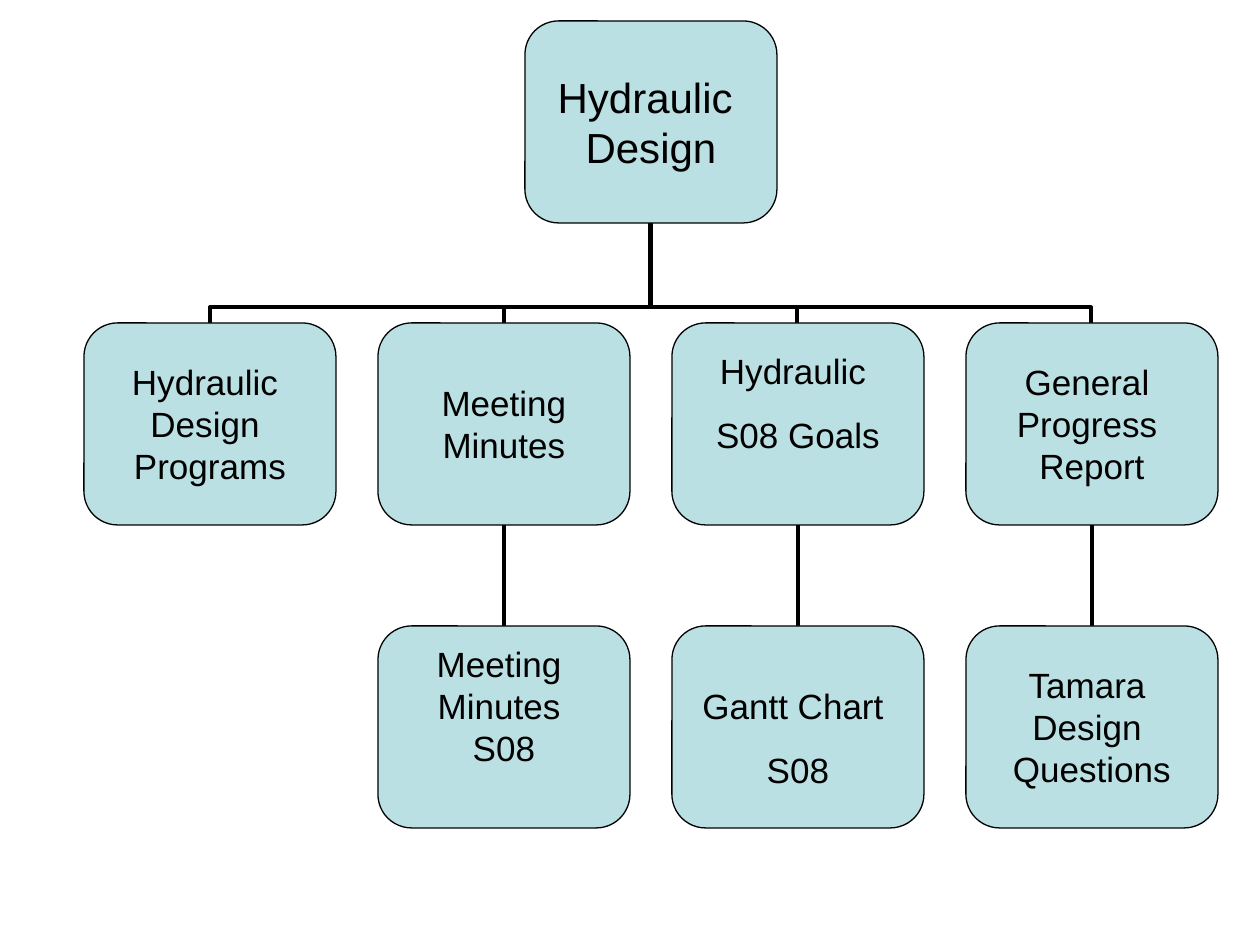
from lxml.etree import SubElement
from pptx import Presentation
from pptx.dml.color import RGBColor
from pptx.enum.shapes import MSO_CONNECTOR, MSO_SHAPE
from pptx.enum.text import MSO_ANCHOR, PP_ALIGN
from pptx.oxml.ns import qn
from pptx.util import Pt

PX = 914400 // 126
BLACK = RGBColor(0x00, 0x00, 0x00)
AQUA = RGBColor(0xBB, 0xE0, 0xE3)
WIDE, HIGH = 252, 202
COLS = [84 + 294 * i for i in range(4)]
ROWS = [21, 323, 626]
ROOT = 525

deck = Presentation()
deck.slide_width = 1260 * PX
deck.slide_height = 945 * PX
slide = deck.slides.add_slide(deck.slide_layouts[6])


def add_line(kind, x1, y1, x2, y2):
    line = slide.shapes.add_connector(kind, x1 * PX, y1 * PX, x2 * PX, y2 * PX)
    line.line.color.rgb = BLACK
    line.line.width = Pt(2.25)
    SubElement(line._element.spPr, qn("a:effectLst"))
    return line


def add_box(left, top, size, text, gap=0, above=0, below=0):
    box = slide.shapes.add_shape(
        MSO_SHAPE.ROUNDED_RECTANGLE, left * PX, top * PX, WIDE * PX, HIGH * PX)
    box.shadow.inherit = False
    box.fill.solid()
    box.fill.fore_color.rgb = AQUA
    box.line.color.rgb = BLACK
    box.line.width = Pt(0.75)
    frame = box.text_frame
    frame.word_wrap = False
    frame.vertical_anchor = MSO_ANCHOR.MIDDLE
    frame.margin_left = frame.margin_right = 0
    frame.margin_top = above * PX
    frame.margin_bottom = below * PX
    frame.text = text
    for para in frame.paragraphs:
        para.alignment = PP_ALIGN.CENTER
        para.space_before = Pt(gap)
        font = para.runs[0].font
        font.name = "Arial"
        font.size = Pt(size)
        font.color.rgb = BLACK


for left in COLS[1:]:
    mid = left + WIDE // 2
    add_line(MSO_CONNECTOR.STRAIGHT, mid, ROWS[2], mid, ROWS[1] + HIGH)

drop = ROWS[1] - ROWS[0] - HIGH
mid_y = ROWS[1] - drop // 2
for left in COLS:
    side = 1 if left > ROOT else -1
    mid_x = (left + ROOT + WIDE) // 2
    half_x = side * drop // 2
    half_y = abs(left - ROOT) // 2
    line = add_line(MSO_CONNECTOR.ELBOW, mid_x - half_x, mid_y + half_y,
                    mid_x + half_x, mid_y - half_y)
    props = line._element.spPr
    props.find(qn("a:xfrm")).set("rot", str((180 + side * 90) * 60000))
    guides = props.find(qn("a:prstGeom")).find(qn("a:avLst"))
    SubElement(guides, qn("a:gd"), name="adj1", fmla="val 15600")

add_box(ROOT, ROWS[0], 24, "Hydraulic \nDesign")
add_box(COLS[0], ROWS[1], 20, "Hydraulic \nDesign \nPrograms")
add_box(COLS[1], ROWS[1], 20, "Meeting\nMinutes")
add_box(COLS[2], ROWS[1], 20, "Hydraulic \nS08 Goals", gap=12.5, below=42)
add_box(COLS[3], ROWS[1], 20, "General \nProgress \nReport")
add_box(COLS[1], ROWS[2], 20, "Meeting \nMinutes \nS08", below=42)
add_box(COLS[2], ROWS[2], 20, "Gantt Chart \nS08", gap=12.5, above=22)
add_box(COLS[3], ROWS[2], 20, "Tamara \nDesign \nQuestions")

deck.save("out.pptx")
